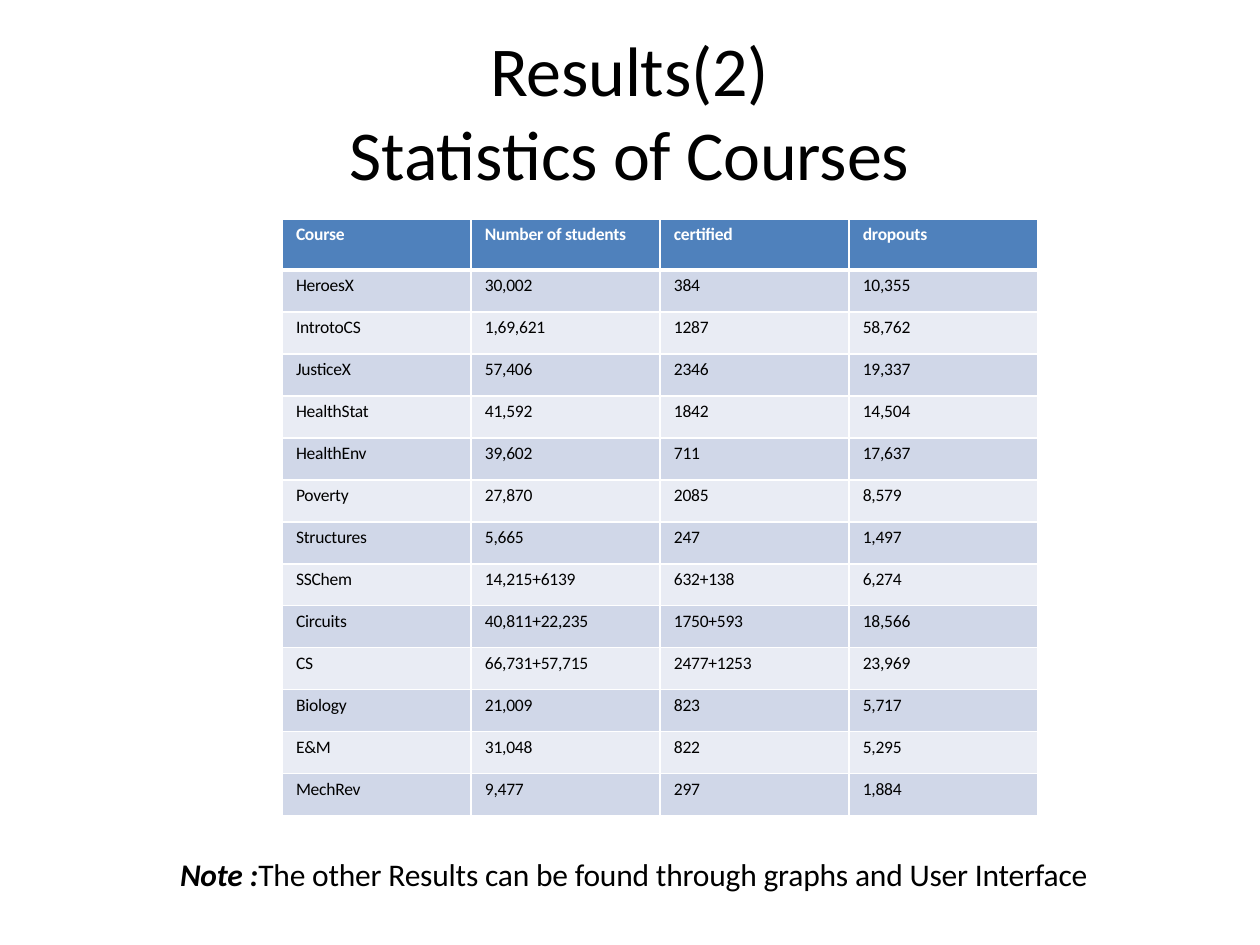
from dataclasses import dataclass

from lxml.etree import SubElement
from pptx import Presentation
from pptx.dml.color import RGBColor
from pptx.enum.text import MSO_ANCHOR, MSO_AUTO_SIZE, PP_ALIGN
from pptx.oxml.ns import qn
from pptx.util import Inches, Pt

PIXEL = Inches(1) // 126


@dataclass(frozen=True)
class Theme:
    """Colours, font and type sizes of the slide."""
    font: str = "Calibri"
    ink: str = "000000"
    white: str = "FFFFFF"
    header: str = "4F81BC"
    bands: tuple = ("D0D7E8", "E9ECF4")
    title_size: int = 40
    note_size: int = 18
    table_size: int = 10
    thin: int = 1
    thick: int = 3


def add_text(paragraph, text, *, font, size, color, bold=False, italic=False, spacing=-10):
    """Append formatted text, turning each newline into a line break."""
    for index, line in enumerate(text.split("\n")):
        if index:
            paragraph.add_line_break()
        run = paragraph.add_run()
        run.text = line
        run.font.name = font
        run.font.size = Pt(size)
        run.font.bold = bold
        run.font.italic = italic
        run.font.color.rgb = RGBColor.from_string(color)
        run.font._element.set("spc", str(spacing))


def add_border(cell, side, color, width):
    """Draw one border of a cell; call before the cell is filled."""
    line = SubElement(cell._tc.get_or_add_tcPr(), qn(f"a:ln{side}"), w=str(Pt(width)))
    SubElement(SubElement(line, qn("a:solidFill")), qn("a:srgbClr"), val=color)


class SlideBuilder:
    """Places styled elements on one slide."""

    def __init__(self, slide, theme):
        """Keep the slide and its style."""
        self.slide = slide
        self.theme = theme

    def frame(self, shape, box):
        """Position a shape and return its plain text frame."""
        shape.left, shape.top, shape.width, shape.height = (PIXEL * n for n in box)
        frame = shape.text_frame
        frame.auto_size = MSO_AUTO_SIZE.NONE
        frame.word_wrap = True
        frame.vertical_anchor = MSO_ANCHOR.TOP
        frame.margin_left = frame.margin_right = frame.margin_bottom = 0
        frame.margin_top = PIXEL
        return frame

    def title(self, text, box):
        """Fill the title placeholder."""
        paragraph = self.frame(self.slide.shapes.title, box).paragraphs[0]
        paragraph.alignment = PP_ALIGN.CENTER
        paragraph.space_before = Pt(1)
        add_text(paragraph, text, font=self.theme.font, size=self.theme.title_size,
                 color=self.theme.ink)

    def note(self, label, text, box):
        """Add a sentence with an emphasised label."""
        shape = self.slide.shapes.add_textbox(0, 0, 0, 0)
        paragraph = self.frame(shape, box).paragraphs[0]
        paragraph.space_before = Pt(1)
        style = dict(font=self.theme.font, size=self.theme.note_size, color=self.theme.ink)
        add_text(paragraph, label, bold=True, italic=True, **style)
        add_text(paragraph, text, **style)

    def cell(self, cell, text, row):
        """Write, fill and outline one table cell."""
        theme = self.theme
        is_header = row == 0
        cell.margin_left = PIXEL * 14
        cell.margin_top = PIXEL * 5
        cell.margin_right = cell.margin_bottom = 0
        paragraph = cell.text_frame.paragraphs[0]
        paragraph.space_before = Pt(3)
        add_text(paragraph, text, font=theme.font, size=theme.table_size, bold=is_header,
                 color=theme.white if is_header else theme.ink)
        thick_side = {0: "B", 1: "T"}.get(row)
        for side in "LRTB":
            width = theme.thick if side == thick_side else theme.thin
            add_border(cell, side, theme.white, width)
        cell.fill.solid()
        color = theme.header if is_header else theme.bands[(row - 1) % 2]
        cell.fill.fore_color.rgb = RGBColor.from_string(color)

    def table(self, rows, left, top, column_width, header_height, row_height):
        """Add a banded table with a header row."""
        columns = len(rows[0])
        height = header_height + row_height * (len(rows) - 1)
        table = self.slide.shapes.add_table(
            len(rows), columns, PIXEL * left, PIXEL * top,
            PIXEL * column_width * columns, PIXEL * height).table
        for column in table.columns:
            column.width = PIXEL * column_width
        for index, values in enumerate(rows):
            table.rows[index].height = PIXEL * (row_height if index else header_height)
            for column, value in enumerate(values):
                self.cell(table.cell(index, column), value, index)


COURSES = [
    ("Course", "Number of students", "certified", "dropouts"),
    ("HeroesX", "30,002", "384", "10,355"),
    ("IntrotoCS", "1,69,621", "1287", "58,762"),
    ("JusticeX", "57,406", "2346", "19,337"),
    ("HealthStat", "41,592", "1842", "14,504"),
    ("HealthEnv", "39,602", "711", "17,637"),
    ("Poverty", "27,870", "2085", "8,579"),
    ("Structures", "5,665", "247", "1,497"),
    ("SSChem", "14,215+6139", "632+138", "6,274"),
    ("Circuits", "40,811+22,235", "1750+593", "18,566"),
    ("CS", "66,731+57,715", "2477+1253", "23,969"),
    ("Biology", "21,009", "823", "5,717"),
    ("E&M", "31,048", "822", "5,295"),
    ("MechRev", "9,477", "297", "1,884"),
]


def main():
    """Build and save the presentation."""
    presentation = Presentation()
    presentation.slide_width, presentation.slide_height = Inches(10), Inches(7.5)
    slide = presentation.slides.add_slide(presentation.slide_layouts[5])
    builder = SlideBuilder(slide, Theme())
    builder.title("Results(2)\nStatistics of Courses", (346, 26, 567, 171))
    builder.table(COURSES, left=282, top=219, column_width=189,
                  header_height=51, row_height=42)
    builder.note("Note :", "The other Results can be found through graphs and User Interface",
                 (180, 854, 926, 42))
    presentation.save("out.pptx")


main()
